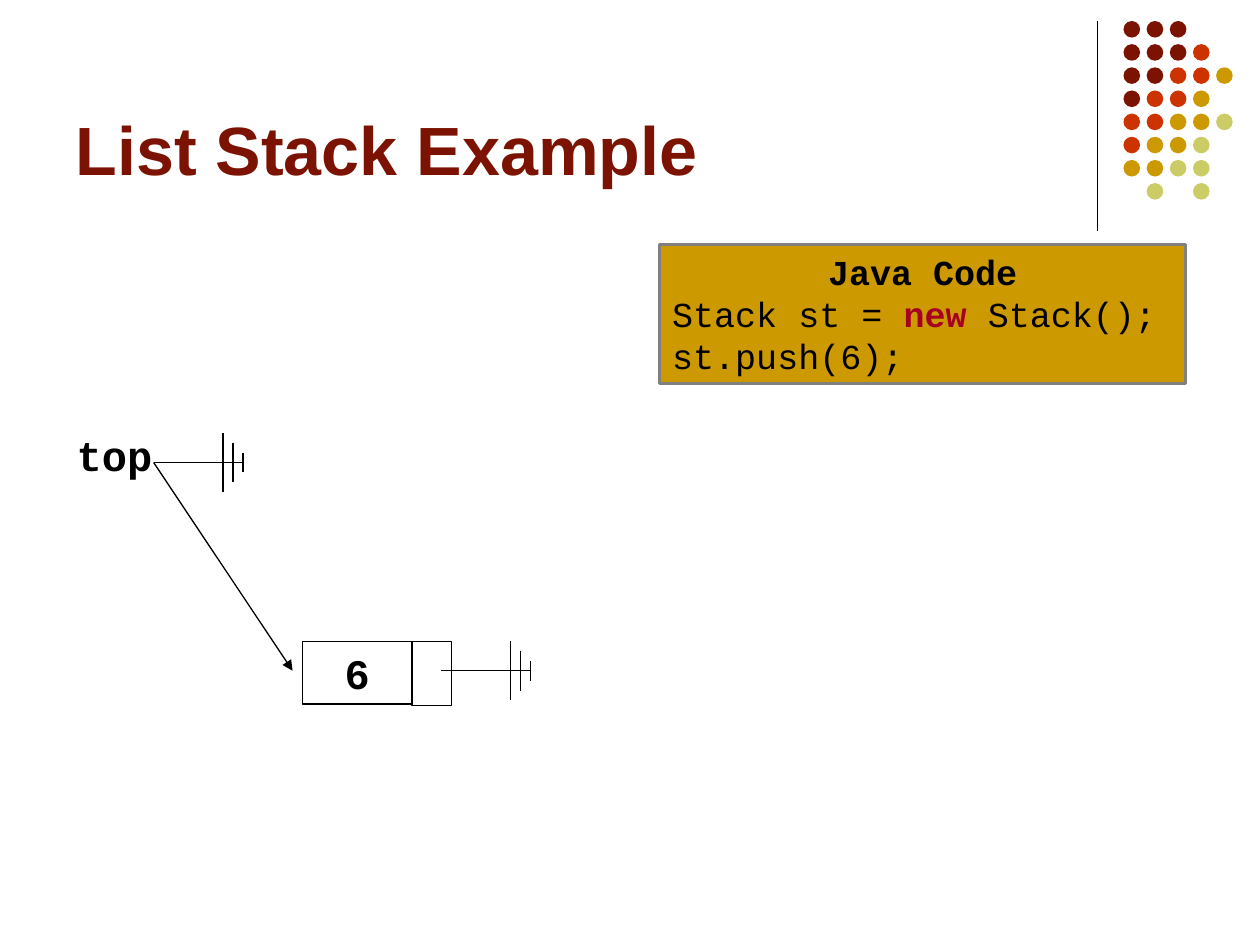
from pptx import Presentation
from pptx.dml.color import RGBColor
from pptx.enum.shapes import MSO_CONNECTOR, MSO_SHAPE
from pptx.enum.text import MSO_ANCHOR, PP_ALIGN
from pptx.oxml.ns import qn
from pptx.util import Pt
from lxml.etree import SubElement

DARK, RED, GOLD, LIME = "7C1302", "CC3300", "CC9900", "CCCC66"
BLACK, GRAY, KEY = "000000", "808080", "A50021"
TINTS = {"d": DARK, "r": RED, "g": GOLD, "l": LIME}
DOTS = ["ddd", "dddr", "ddrrg", "drrg", "rrggl", "rggl", "ggll", " l l"]
CODE = [
    [("Java Code", {"bold": True})],
    [("Stack st = ", {}), ("new", {"bold": True, "color": KEY}), (" Stack();", {})],
    [("st.push(6);", {})],
]


def tint(code):
    return RGBColor.from_string(code)


def write(para, text, size=24, font="Courier New", color=BLACK, bold=False, align=PP_ALIGN.LEFT):
    para.alignment = align
    run = para.add_run()
    run.text = text
    run.font.size = Pt(size)
    run.font.name = font
    run.font.bold = bold
    run.font.color.rgb = tint(color)


class Deck:
    def __init__(self, slide, ink=BLACK, width=0.75):
        self.slide = slide
        self.ink = ink
        self.width = width

    def title(self, text, *box):
        shape = self.slide.shapes.title
        shape.left, shape.top, shape.width, shape.height = map(Pt, box)
        frame = shape.text_frame
        frame.vertical_anchor = MSO_ANCHOR.BOTTOM
        write(frame.paragraphs[0], text, size=39, font="Arial", color=DARK, bold=True)

    def shape(self, kind, *box, fill=None, line=None, width=None):
        shape = self.slide.shapes.add_shape(kind, *map(Pt, box))
        shape.shadow.inherit = False
        if fill:
            shape.fill.solid()
            shape.fill.fore_color.rgb = tint(fill)
        else:
            shape.fill.background()
        if line:
            shape.line.color.rgb = tint(line)
            shape.line.width = Pt(width or self.width)
        else:
            shape.line.fill.background()
        frame = shape.text_frame
        frame.word_wrap = True
        frame.vertical_anchor = MSO_ANCHOR.TOP
        return frame

    def label(self, text, *box):
        frame = self.slide.shapes.add_textbox(*map(Pt, box)).text_frame
        frame.word_wrap = False
        write(frame.paragraphs[0], text, bold=True)

    def line(self, *ends, arrow=False):
        link = self.slide.shapes.add_connector(MSO_CONNECTOR.STRAIGHT, *map(Pt, ends))
        link.line.color.rgb = tint(self.ink)
        link.line.width = Pt(self.width)
        if arrow:
            SubElement(link.line._get_or_add_ln(), qn("a:tailEnd"), type="triangle")
        SubElement(link._element.spPr, qn("a:effectLst"))

    def dots(self, left, top, step, size):
        for row, codes in enumerate(DOTS):
            for col, code in enumerate(codes):
                if code in TINTS:
                    self.shape(MSO_SHAPE.OVAL, left + col * step, top + row * step,
                               size, size, fill=TINTS[code])

    def code(self, rows, *box):
        frame = self.shape(MSO_SHAPE.RECTANGLE, *box, fill=GOLD, line=GRAY, width=1.5)
        for pos, row in enumerate(rows):
            para = frame.add_paragraph() if pos else frame.paragraphs[0]
            align = PP_ALIGN.LEFT if pos else PP_ALIGN.CENTER
            for text, style in row:
                write(para, text, size=20, align=align, **style)

    def node(self, text, left, top):
        frame = self.shape(MSO_SHAPE.RECTANGLE, left, top, 62.6, 36, line=self.ink)
        write(frame.paragraphs[0], text, bold=True, align=PP_ALIGN.CENTER)
        self.shape(MSO_SHAPE.RECTANGLE, left + 62.6, top, 22.5, 36.7, line=self.ink)

    def ground(self, left, mid):
        self.line(left, mid, left + 51, mid)
        for pos in range(3):
            spot = left + 39.6 + pos * 5.7
            half = 17 - pos * 5.7
            self.line(spot, mid - half, spot, mid + half)


def main():
    prs = Presentation()
    prs.slide_width, prs.slide_height = Pt(720), Pt(540)
    deck = Deck(prs.slides.add_slide(prs.slide_layouts[5]))
    deck.line(627, 12, 627, 132)
    deck.dots(642, 12, 13.23, 9.5)
    deck.title("List Stack Example", 36, 9.4, 594, 102.2)
    deck.code(CODE, 377, 139.7, 300.5, 79.5)
    deck.label("top", 36.7, 241.9, 59.8, 36)
    deck.node("6", 172.8, 366.4)
    deck.line(87.8, 264.3, 167.2, 383.3, arrow=True)
    deck.ground(252.3, 383.3)
    deck.ground(87.8, 264.3)
    prs.save("out.pptx")


if __name__ == "__main__":
    main()
